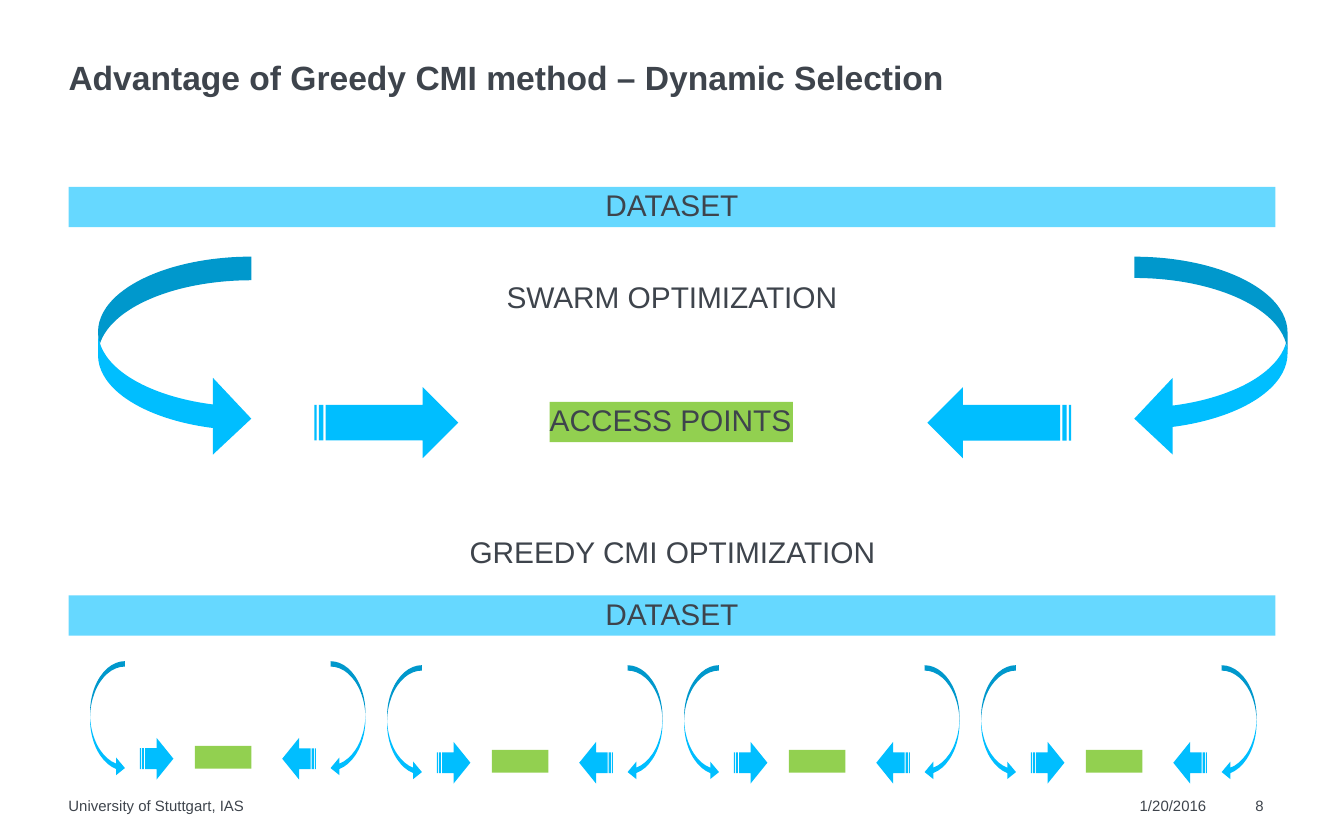
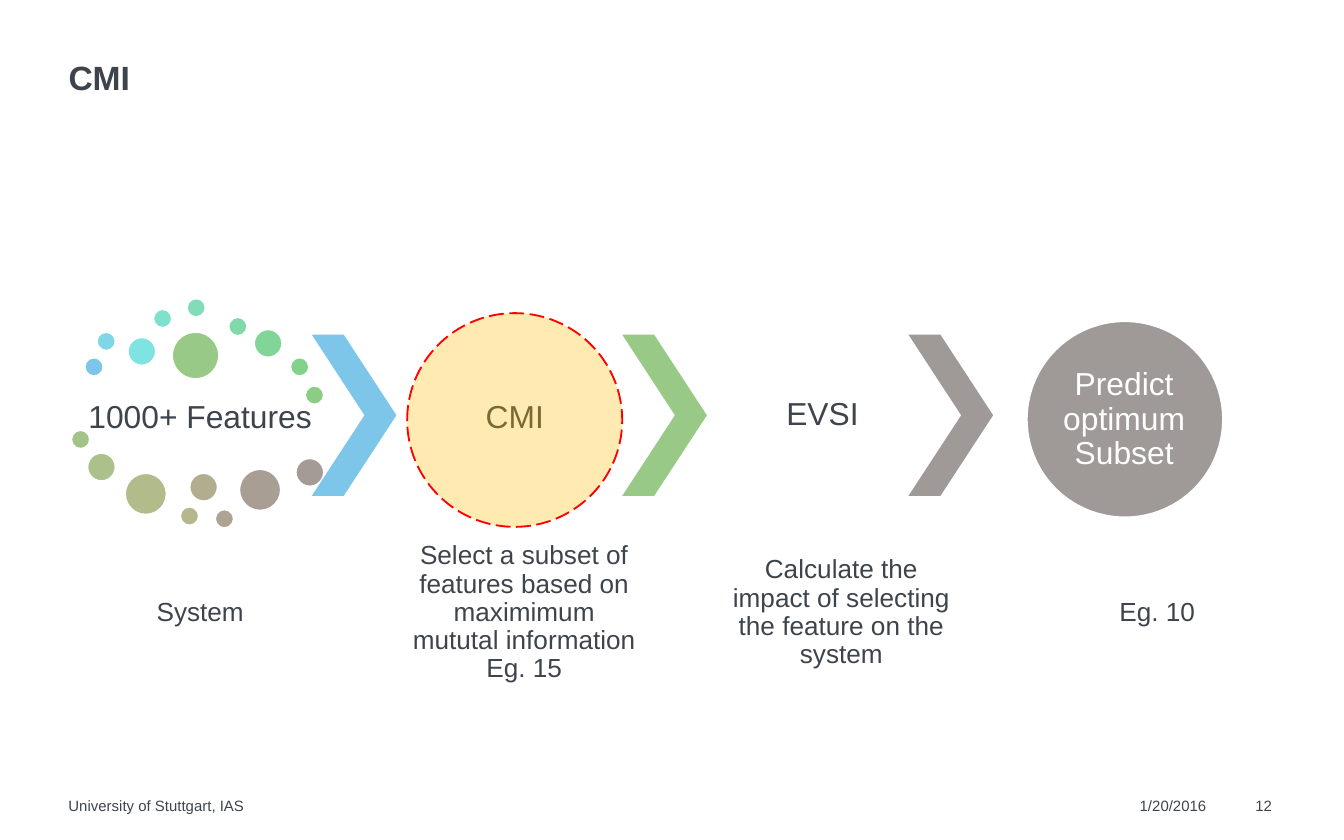
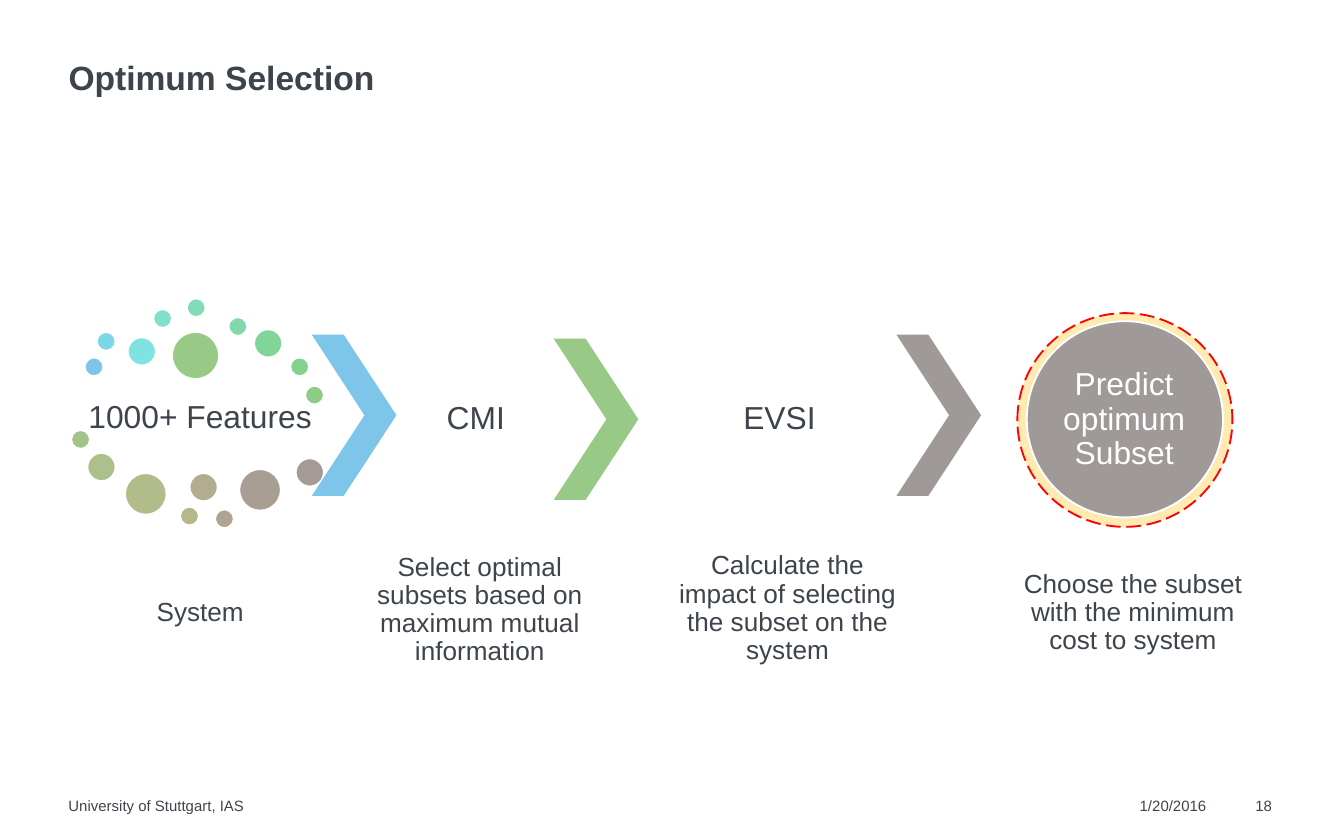
from dataclasses import dataclass
from typing import NamedTuple, Optional

from lxml import etree
from pptx import Presentation
from pptx.dml.color import RGBColor
from pptx.enum.dml import MSO_LINE
from pptx.enum.shapes import MSO_SHAPE as Shape
from pptx.enum.text import MSO_ANCHOR as Anchor, MSO_AUTO_SIZE as AutoSize, PP_ALIGN as Align
from pptx.oxml.ns import qn
from pptx.util import Pt

# Shared style
FONT = "Arial"
COLORS = {
    "text": "3E444C",
    "white": "FFFFFF",
    "band": "66D8FF",
    "arrow": "00BEFF",
    "points": "92D050",
    "blue": "7DC6EA",
    "green": "98C986",
    "gray": "9F9998",
    "amber": "FFC000",
    "red": "FF0101",
}
MARGIN, CONTENT_WIDTH = 36.72, 646.56
ORGANISATION, DATE = "University of Stuttgart, IAS", "1/20/2016"


class Box(NamedTuple):
    left: float
    top: float
    width: float
    height: float

    def lengths(self) -> list:
        return [Pt(value) for value in self]


@dataclass
class TextStyle:
    size: float
    color: str = "text"
    bold: bool = False
    align: Align = Align.CENTER
    anchor: Anchor = Anchor.TOP
    spacing: Optional[float] = None
    inset: float = 0


TITLE = TextStyle(18, bold=True, align=Align.LEFT, anchor=Anchor.BOTTOM, spacing=0.9)
FOOTER = TextStyle(8, align=Align.LEFT)
HEADING = TextStyle(16)
HEADING_LEFT = TextStyle(16, align=Align.LEFT)
LABEL = TextStyle(17, anchor=Anchor.MIDDLE, spacing=0.9, inset=1.44)
CAPTION = TextStyle(14, anchor=Anchor.MIDDLE, spacing=0.9, inset=1.44)
RESULT = TextStyle(17, color="white", anchor=Anchor.MIDDLE, spacing=0.9)


# Drawing helpers
def rgb(color: str) -> RGBColor:
    return RGBColor.from_string(COLORS.get(color, color))


def write(sp, text: str, style: TextStyle) -> None:
    tf = sp.text_frame
    tf.word_wrap = True
    tf.auto_size = AutoSize.NONE
    tf.vertical_anchor = style.anchor
    tf.margin_left = tf.margin_right = tf.margin_top = tf.margin_bottom = Pt(style.inset)
    p = tf.paragraphs[0]
    p.text = text
    p.alignment = style.align
    if style.spacing:
        p.line_spacing = style.spacing
    p.font.name, p.font.size, p.font.bold = FONT, Pt(style.size), style.bold
    p.font.color.rgb = rgb(style.color)


def add_text(shapes, box: Box, text: str, style: TextStyle) -> None:
    write(shapes.add_textbox(*box.lengths()), text, style)


def add_shape(shapes, kind: Shape, box: Box, fill: str, line: Optional[str] = None,
              adjustments: tuple = (), rotation: float = 0):
    sp = shapes.add_shape(kind, *box.lengths())
    sp.shadow.inherit = False
    sp.fill.solid()
    sp.fill.fore_color.rgb = rgb(fill)
    if line:
        sp.line.color.rgb = rgb(line)
        sp.line.width = Pt(1)
    else:
        sp.line.fill.background()
    for i, value in enumerate(adjustments):
        sp.adjustments[i] = value
    sp.rotation = rotation
    return sp


def add_slide(prs, title: str, number: int):
    s = prs.slides.add_slide(prs.slide_layouts[5])
    sp = s.shapes.title
    sp.left, sp.top, sp.width, sp.height = Box(MARGIN, 30.96, CONTENT_WIDTH, 21.6).lengths()
    write(sp, title, TITLE)
    for left, width, text in ((610.56, 41.76, DATE), (MARGIN, 477.36, ORGANISATION),
                              (672.48, 17.28, str(number))):
        add_text(s.shapes, Box(left, 426.96, width, 10.08), text, FOOTER)
    return s


# Dataset cycles: mirrored curved and striped arrows around a box
@dataclass
class Cycle:
    width: float
    curve: tuple[float, float]
    left_bend: float
    arrow: Box  # relative to the top left corner of the cycle
    points: Box  # likewise


LARGE_CYCLE = Cycle(637.2, (82.08, 107.28), 0.139,
                    Box(115.92, 69.84, 77.04, 38.16), Box(241.92, 77.76, 130.32, 21.6))
SMALL_CYCLE = Cycle(147.6, (18.72, 61.92), 0.154,
                    Box(26.64, 41.04, 18, 22.32), Box(56.16, 45.36, 30.24, 12.24))


def add_cycle(shapes, cycle: Cycle, left: float, top: float, text: str = "") -> None:
    right = left + cycle.width
    curve_width, curve_height = cycle.curve
    for kind, x, bend in ((Shape.CURVED_RIGHT_ARROW, left, 0.154),
                          (Shape.CURVED_LEFT_ARROW, right - curve_width, cycle.left_bend)):
        add_shape(shapes, kind, Box(x, top, curve_width, curve_height), "arrow",
                  adjustments=(bend, 0.5, 0.25))
    dx, dy, width, height = cycle.arrow
    for x, rotation in ((left + dx, 0), (right - dx - width, 180)):
        add_shape(shapes, Shape.STRIPED_RIGHT_ARROW, Box(x, top + dy, width, height),
                  "arrow", rotation=rotation)
    dx, dy, width, height = cycle.points
    sp = add_shape(shapes, Shape.RECTANGLE, Box(left + dx, top + dy, width, height), "points")
    if text:
        write(sp, text, HEADING_LEFT)


def build_dynamic_selection(prs) -> None:
    s = add_slide(prs, "Advantage of Greedy CMI method – Dynamic Selection", 8)
    for top in (100.08, 318.96):
        band = add_shape(s.shapes, Shape.RECTANGLE,
                         Box(MARGIN, top, CONTENT_WIDTH, 21.6), "band")
        write(band, "DATASET", HEADING)
    add_cycle(s.shapes, LARGE_CYCLE, 52.56, 137.52, "ACCESS POINTS")
    add_text(s.shapes, Box(254.88, 149.04, 210.24, 28.08), "SWARM OPTIMIZATION", HEADING)
    add_text(s.shapes, Box(186.48, 285.84, 347.76, 28.08), "GREEDY CMI OPTIMIZATION", HEADING)
    for i, top in enumerate((354.24, 356.4, 356.4, 356.4)):
        group = s.shapes.add_group_shape()
        add_cycle(group.shapes, SMALL_CYCLE, 48.24 + i * 159.12, top)


# Feature selection process
class Dot(NamedTuple):
    left: float
    top: float
    size: float
    color: str


class Step(NamedTuple):
    label: str
    label_at: tuple[float, float]
    caption: str
    caption_at: tuple[float, float]
    chevron_at: tuple[float, float]
    chevron_color: str


SMALL, MEDIUM, BIG, BIGGEST = 10.08, 15.12, 22.32, 25.2
DOTS = [
    Dot(45.36, 191.52, SMALL, "blue"),
    Dot(51.84, 177.84, SMALL, "7ED7E7"),
    Dot(68.4, 180.72, MEDIUM, "7EE3E1"),
    Dot(82.08, 165.6, SMALL, "7FE0CC"),
    Dot(100.08, 159.84, SMALL, "80DCB9"),
    Dot(122.4, 169.92, SMALL, "81D8A8"),
    Dot(136.08, 176.4, MEDIUM, "82D598"),
    Dot(155.52, 191.52, SMALL, "84D18B"),
    Dot(163.44, 206.64, SMALL, "8BCD85"),
    Dot(92.16, 177.84, BIGGEST, "green"),
    Dot(38.16, 230.4, SMALL, "A3C488"),
    Dot(46.8, 242.64, MEDIUM, "ABC08A"),
    Dot(66.96, 253.44, BIG, "B2BC8B"),
    Dot(96.48, 271.44, SMALL, "B6B78D"),
    Dot(101.52, 253.44, MEDIUM, "B3AD8F"),
    Dot(115.2, 272.88, SMALL, "AEA491"),
    Dot(128.16, 251.28, BIG, "A99E93"),
    Dot(158.4, 245.52, MEDIUM, "A49A96"),
]
STEP_WIDTH, LABEL_HEIGHT, CAPTION_HEIGHT, CAPTION_TOP = 123.84, 86.4, 76.32, 290.16


def add_chevron(shapes, left: float, top: float, color: str) -> None:
    add_shape(shapes, Shape.CHEVRON, Box(left, top, 45.36, 86.4), color, adjustments=(0.623,))


def add_caption(shapes, left: float, top: float, text: str) -> None:
    add_text(shapes, Box(left, top, STEP_WIDTH, CAPTION_HEIGHT), text, CAPTION)


def add_process(s, steps: list[Step], result_caption: str, result_left: float) -> None:
    shapes = s.shapes.add_group_shape().shapes
    # System with its features
    add_text(shapes, Box(45.36, 203.76, STEP_WIDTH, 41.04), "1000+ Features", LABEL)
    add_caption(shapes, 45.36, CAPTION_TOP, "System")
    for dot in DOTS:
        add_shape(shapes, Shape.OVAL, Box(dot.left, dot.top, dot.size, dot.size),
                  dot.color, "white")
    add_chevron(shapes, 167.04, 179.28, "blue")
    # Middle steps
    for step in steps:
        add_text(shapes, Box(*step.label_at, STEP_WIDTH, LABEL_HEIGHT), step.label, LABEL)
        add_caption(shapes, *step.caption_at, step.caption)
        add_chevron(shapes, *step.chevron_at, step.chevron_color)
    # Result
    add_shape(shapes, Shape.OVAL, Box(550.08, 172.08, 105.12, 105.12), "gray", "white")
    add_text(shapes, Box(565.2, 187.92, 74.16, 74.16), "Predict optimum Subset", RESULT)
    add_caption(shapes, result_left, CAPTION_TOP, result_caption)


def add_highlight(s, left: float) -> None:
    sp = add_shape(s.shapes, Shape.OVAL, Box(left, 167.76, 115.2, 114.48), "amber", "red")
    sp.line.dash_style = MSO_LINE.LONG_DASH
    color = sp.fill._xPr.find(qn("a:solidFill")).find(qn("a:srgbClr"))
    etree.SubElement(color, qn("a:alpha")).set("val", "30000")


def build_cmi(prs) -> None:
    s = add_slide(prs, "CMI", 12)
    add_process(s, [
        Step("CMI", (213.84, 180.72),
             "Select a subset of features based on maximimum mututal information Eg. 15",
             (218.88, CAPTION_TOP), (333.36, 179.28), "green"),
        Step("EVSI", (378.72, 179.28),
             "Calculate the impact of selecting the feature on the system",
             (388.8, CAPTION_TOP), (486.72, 179.28), "gray"),
    ], "Eg. 10", 558)
    add_highlight(s, 218.16)


def build_optimum_selection(prs) -> None:
    s = add_slide(prs, "Optimum Selection", 18)
    add_highlight(s, 545.04)
    add_process(s, [
        Step("CMI", (192.96, 181.44),
             "Select optimal subsets based on maximum mutual information",
             (195.12, 288.72), (296.64, 181.44), "green"),
        Step("EVSI", (355.68, 181.44),
             "Calculate the impact of selecting the subset on the system",
             (360, 288), (480.24, 179.28), "gray"),
    ], "Choose the subset with the minimum cost to system", 545.04)


def main() -> None:
    prs = Presentation()
    prs.slide_width, prs.slide_height = Pt(720), Pt(450)
    build_dynamic_selection(prs)
    build_cmi(prs)
    build_optimum_selection(prs)
    prs.save("out.pptx")


if __name__ == "__main__":
    main()
